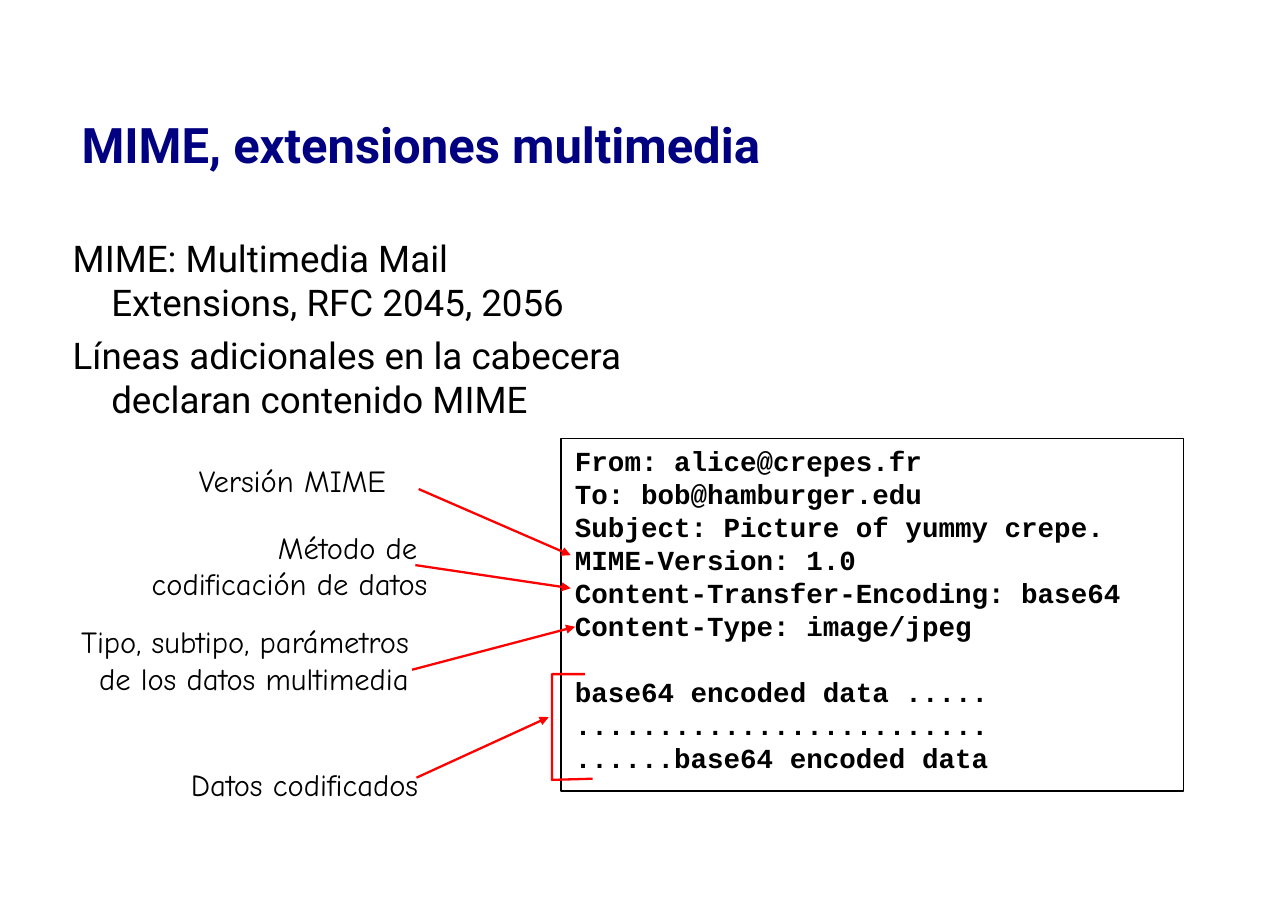
"""Build the slide on MIME multimedia extensions."""
from dataclasses import dataclass

from lxml.etree import SubElement
from pptx import Presentation
from pptx.dml.color import RGBColor
from pptx.enum.shapes import MSO_CONNECTOR, MSO_SHAPE
from pptx.enum.text import MSO_ANCHOR, MSO_AUTO_SIZE, PP_ALIGN
from pptx.oxml.ns import qn
from pptx.shapes.base import BaseShape
from pptx.slide import Slide
from pptx.text.text import TextFrame
from pptx.util import Inches, Pt


@dataclass(frozen=True)
class TextStyle:
    font: str
    size: int
    color: RGBColor
    bold: bool = False


@dataclass(frozen=True)
class Theme:
    black: RGBColor = RGBColor(0, 0, 0)
    red: RGBColor = RGBColor(255, 0, 0)
    title: TextStyle = TextStyle("Roboto", 32, RGBColor(0, 0, 128), True)
    body: TextStyle = TextStyle("Roboto", 24, RGBColor(0, 0, 0))
    code: TextStyle = TextStyle("Courier New", 18, RGBColor(0, 0, 0), True)
    label: TextStyle = TextStyle("Comic Neue", 20, RGBColor(0, 0, 0))
    code_pitch: float = 21.6
    mark_width: float = 1.5


@dataclass(frozen=True)
class Box:
    left: float
    top: float
    width: float
    height: float

    def lengths(self) -> list[int]:
        return [Inches(v) for v in (self.left, self.top, self.width, self.height)]


@dataclass(frozen=True)
class Callout:
    lines: tuple[str, ...]
    box: Box
    align: PP_ALIGN
    start: tuple[float, float]
    end: tuple[float, float]


THEME = Theme()
TITLE = "MIME, extensiones multimedia"
POINTS = (
    "MIME: Multimedia Mail Extensions, RFC 2045, 2056",
    "Líneas adicionales en la cabecera declaran contenido MIME",
)
HEADERS = (
    "From: alice@crepes.fr",
    "To: bob@hamburger.edu",
    "Subject: Picture of yummy crepe.",
    "MIME-Version: 1.0",
    "Content-Transfer-Encoding: base64",
    "Content-Type: image/jpeg",
)
ENCODED = (
    "base64 encoded data .....",
    ".........................",
    "......base64 encoded data",
)
CALLOUTS = (
    Callout(("Tipo, subtipo, parámetros", "de los datos multimedia"),
            Box(0.62, 5.61, 3.19, 0.74), PP_ALIGN.RIGHT, (3.74, 6.08), (5.22, 5.69)),
    Callout(("Método de ", "codificación de datos"),
            Box(1.27, 4.75, 2.71, 0.74), PP_ALIGN.RIGHT, (3.77, 5.13), (5.18, 5.34)),
    Callout(("Versión MIME",),
            Box(1.7, 4.14, 1.91, 0.42), PP_ALIGN.CENTER, (3.8, 4.44), (5.18, 5.04)),
    Callout(("Datos codificados",),
            Box(1.63, 6.9, 2.27, 0.42), PP_ALIGN.CENTER, (3.78, 7.06), (4.98, 6.51)),
)
BRACKET = ((5.31, 6.12), (5.01, 6.12), (5.01, 7.08), (5.38, 7.07))


def place(shape: BaseShape, box: Box) -> None:
    """Move and size a shape."""
    shape.left, shape.top, shape.width, shape.height = box.lengths()


def write(frame: TextFrame, lines: tuple[str, ...], style: TextStyle,
          align: PP_ALIGN = PP_ALIGN.LEFT) -> None:
    """Fill a text frame with one styled paragraph for each line."""
    frame.auto_size = MSO_AUTO_SIZE.NONE
    frame.text = "\n".join(lines)
    for paragraph in frame.paragraphs:
        paragraph.alignment = align
        paragraph.space_before = Pt(0)
        paragraph.font.name = style.font
        paragraph.font.size = Pt(style.size)
        paragraph.font.bold = style.bold
        paragraph.font.color.rgb = style.color


def add_title(slide: Slide) -> None:
    """Fill the title placeholder."""
    title = slide.shapes.title
    place(title, Box(0.64, 0.59, 10.5, 1.44))
    title.text_frame.vertical_anchor = MSO_ANCHOR.MIDDLE
    write(title.text_frame, (TITLE,), THEME.title)


def add_points(slide: Slide) -> None:
    """Fill the body placeholder with unbulleted hanging paragraphs."""
    body = slide.placeholders[1]
    place(body, Box(0.64, 2.14, 5.12, 2.02))
    frame = body.text_frame
    frame.margin_left = frame.margin_right = frame.margin_top = frame.margin_bottom = 0
    write(frame, POINTS, THEME.body)
    for paragraph in frame.paragraphs:
        properties = paragraph._p.get_or_add_pPr()
        properties.set("marL", str(Inches(0.37)))
        properties.set("indent", str(Inches(-0.35)))
        SubElement(properties, qn("a:buNone"))
    for paragraph in frame.paragraphs[1:]:
        paragraph.space_before = Pt(6)


def add_message(slide: Slide) -> None:
    """Draw the framed mail message."""
    message = slide.shapes.add_textbox(*Box(5.12, 3.98, 5.94, 3.22).lengths())
    message.text_frame.word_wrap = True
    write(message.text_frame, HEADERS + ENCODED, THEME.code)
    for paragraph in message.text_frame.paragraphs:
        paragraph.line_spacing = Pt(THEME.code_pitch)
    message.text_frame.paragraphs[len(HEADERS)].space_before = Pt(THEME.code_pitch)
    border = slide.shapes.add_shape(
        MSO_SHAPE.RECTANGLE, *Box(5.09, 3.98, 5.65, 3.2).lengths())
    border.shadow.inherit = False
    border.fill.background()
    border.line.color.rgb = THEME.black
    border.line.width = Pt(1)


def add_callout(slide: Slide, callout: Callout) -> None:
    """Draw a label and the arrow to the part it names."""
    label = slide.shapes.add_textbox(*callout.box.lengths())
    label.text_frame.word_wrap = False
    write(label.text_frame, callout.lines, THEME.label, callout.align)
    arrow = slide.shapes.add_connector(
        MSO_CONNECTOR.STRAIGHT, *(Inches(v) for v in callout.start + callout.end))
    arrow.line.color.rgb = THEME.red
    arrow.line.width = Pt(THEME.mark_width)
    SubElement(arrow.line._get_or_add_ln(), qn("a:tailEnd"), type="triangle")
    SubElement(arrow._element.spPr, qn("a:effectLst"))


def add_bracket(slide: Slide) -> None:
    """Draw the open bracket beside the encoded data."""
    corners = [(Inches(x), Inches(y)) for x, y in BRACKET]
    builder = slide.shapes.build_freeform(*corners[0])
    builder.add_line_segments(corners[1:], close=False)
    bracket = builder.convert_to_shape()
    bracket.shadow.inherit = False
    bracket.fill.background()
    bracket.line.color.rgb = THEME.red
    bracket.line.width = Pt(THEME.mark_width)


def main() -> None:
    """Build and save the presentation."""
    presentation = Presentation()
    presentation.slide_width = Inches(11.69)
    presentation.slide_height = Inches(8.27)
    slide = presentation.slides.add_slide(presentation.slide_layouts[1])
    add_title(slide)
    add_points(slide)
    add_message(slide)
    for callout in CALLOUTS:
        add_callout(slide, callout)
    add_bracket(slide)
    presentation.save("out.pptx")


if __name__ == "__main__":
    main()
